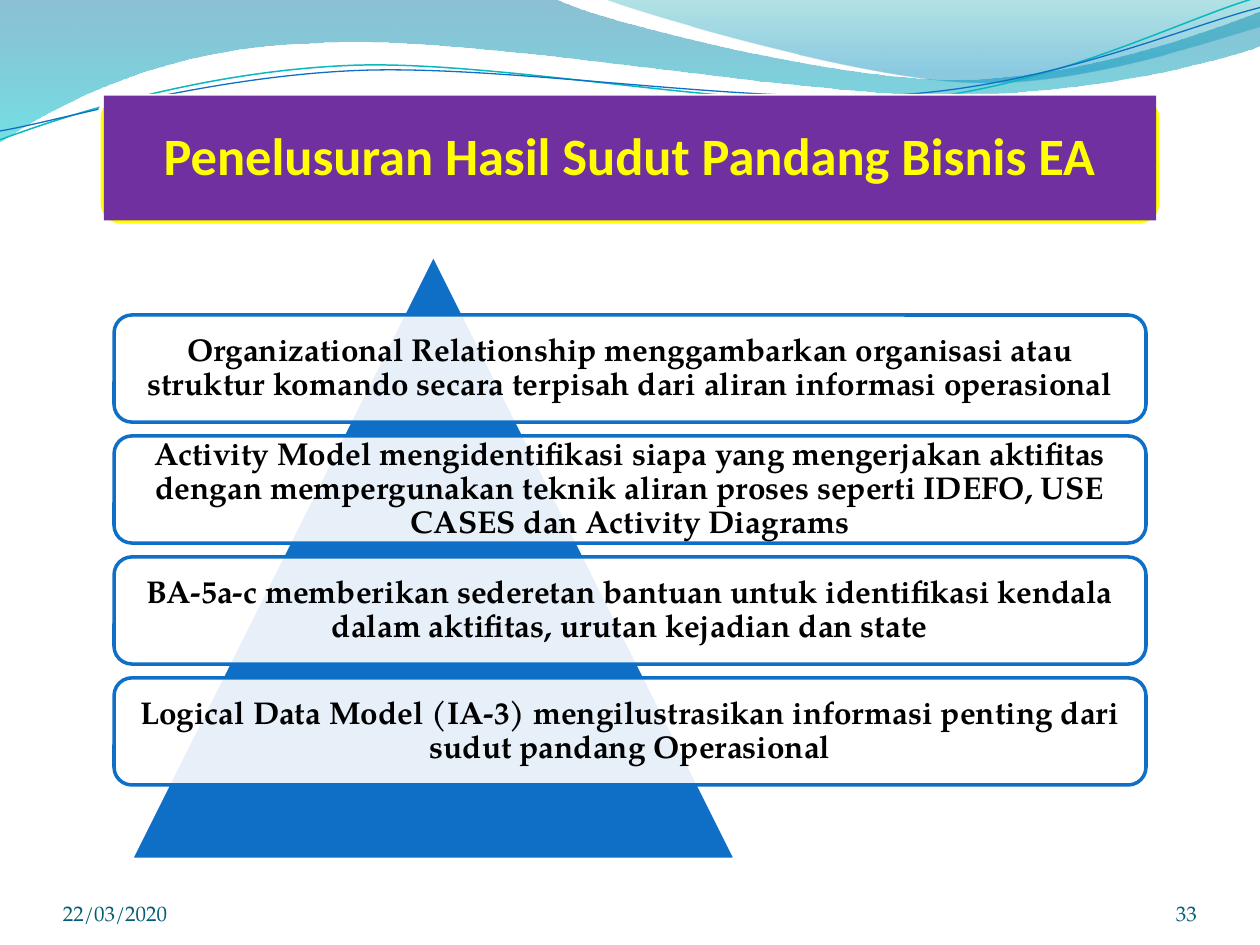
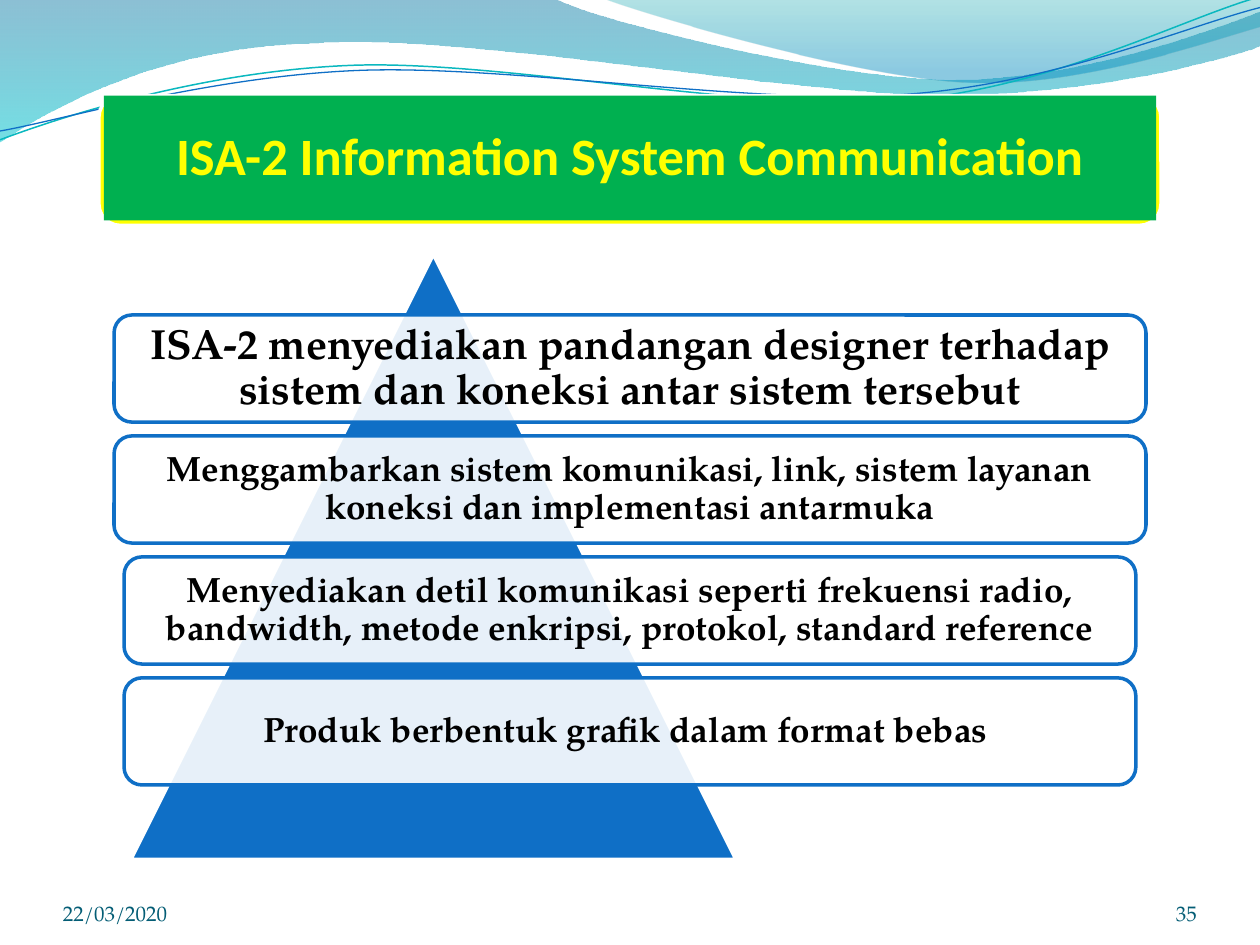
from pptx import Presentation, util as u
from pptx.dml.color import RGBColor
from pptx.enum import shapes, text
from pptx.oxml.ns import qn
from lxml import etree

# Content: number, title, band colour, and (words, size, inset, box width)
DATE = "22/03/2020"
WIDE, NARROW = 8.19, 8.03
SLIDES = [
    {"number": "33", "title": "Penelusuran Hasil Sudut Pandang Bisnis EA", "band": "7030A0",
     "boxes": [
         ("Organizational Relationship menggambarkan organisasi atau struktur komando "
          "secara terpisah dari aliran informasi operasional", 18, 0.07, WIDE),
         ("Activity Model mengidentifikasi siapa yang mengerjakan aktifitas dengan "
          "mempergunakan teknik aliran proses seperti IDEFO, USE CASES dan Activity Diagrams",
          18, 0.07, WIDE),
         ("BA-5a-c memberikan sederetan bantuan untuk identifikasi kendala dalam aktifitas, "
          "urutan kejadian dan state", 18, 0.07, WIDE),
         ("Logical Data Model (IA-3) mengilustrasikan informasi penting dari sudut pandang "
          "Operasional", 18, 0.07, WIDE)]},
    {"number": "35", "title": "ISA-2 Information System Communication", "band": "00B050",
     "boxes": [
         ("ISA-2 menyediakan pandangan designer terhadap sistem dan koneksi antar sistem "
          "tersebut", 24, 0.1, WIDE),
         ("Menggambarkan sistem komunikasi, link, sistem layanan koneksi dan implementasi "
          "antarmuka", 20, 0.08, WIDE),
         ("Menyediakan detil komunikasi seperti frekuensi radio, bandwidth, metode enkripsi, "
          "protokol, standard reference", 20, 0.08, NARROW),
         ("Produk berbentuk grafik dalam format bebas ", 20, 0.08, NARROW)]},
]

# Shared look
BLUE, YELLOW, WHITE, BLACK, FOOTER = "0F6FC6", "FFFF00", "FFFFFF", "000000", "045D75"
SERIF, SANS = "TeX Gyre Pagella", "Calibri"
SLIDE_WIDTH, SLIDE_HEIGHT = 10, 7.5
FIRST_BOX, BOX_STEP, BOX_HEIGHT = 2.5, 0.96, 0.85

# Waves: a start, then points (2 numbers) and curves (6 numbers), in inches
WAVES = [
    {"start": (0, 0), "steps": [
        (4.4, -0.01), (4.76, 0.17, 6.64, 0.63, 7.58, 0.63), (8.53, 0.63, 9.58, 0.26, 10, 0.09),
        (10.01, 0.36), (9.83, 0.44, 8.7, 0.76, 7.46, 0.75), (6.22, 0.75, 3.82, 0.28, 2.57, 0.34),
        (1.29, 0.36, 0.46, 0.83, -0.01, 1.13)],
     "gradient": [(0, "0074A1", 45), (1, "00C6CF", 55)]},
    {"start": (4.79, -0.01), "steps": [
        (5.09, 0.11, 6.82, 0.62, 7.69, 0.65), (8.56, 0.69, 9.61, 0.32, 10, 0.21), (10, 0)],
     "gradient": [(0, "00A1A9", 30), (0.8, "008BBF", 45)]},
    {"start": (0, 1.11), "steps": [
        (0.48, 0.93, 1.58, 0.57, 2.77, 0.52), (3.95, 0.47, 5.93, 0.89, 7.13, 0.8),
        (8.33, 0.71, 9.38, 0.15, 9.98, -0.02)],
     "line": ("0AB8BF", 0.85)},
    {"start": (0, 1.04), "steps": [
        (0.47, 0.96, 1.64, 0.61, 2.83, 0.56), (4.03, 0.51, 5.97, 0.84, 7.17, 0.75),
        (8.36, 0.67, 9.41, 0.21, 10, 0.06)],
     "line": (BLUE, 0.75)},
]


def color(code):
    return RGBColor.from_string(code)


def centered(top, width, height):
    return (SLIDE_WIDTH - width) / 2, top, width, height


def set_opacity(shape, percents):
    """Give the fill colours of a shape, in order, their opacity."""
    for element, percent in zip(shape._element.spPr.iter(qn("a:srgbClr")), percents):
        etree.SubElement(element, qn("a:alpha")).set("val", str(percent * 1000))


def set_line(shape, line):
    if line:
        shape.line.color.rgb, shape.line.width = color(line[0]), u.Pt(line[1])
    else:
        shape.line.fill.background()


def style(shape, fill, line=None):
    shape.shadow.inherit = False
    shape.fill.solid()
    shape.fill.fore_color.rgb = color(fill)
    set_line(shape, line)


def add_preset(slide, kind, place, fill, line=None):
    shape = slide.shapes.add_shape(kind, *map(u.Inches, place))
    style(shape, fill, line)
    return shape


def write(shape, words, size, ink, font=SERIF, bold=True, inset=0.0,
          align=text.PP_ALIGN.CENTER, anchor=text.MSO_ANCHOR.MIDDLE, spacing=0.9):
    frame = shape.text_frame
    frame.text = words
    frame_format = {"word_wrap": True, "auto_size": text.MSO_AUTO_SIZE.NONE,
                    "vertical_anchor": anchor}
    frame_format.update({f"margin_{side}": u.Inches(inset)
                         for side in ("left", "top", "right", "bottom")})
    paragraph = frame.paragraphs[0]
    paragraph.font.color.rgb = color(ink)
    formats = [(frame, frame_format),
               (paragraph, {"alignment": align, "line_spacing": spacing}),
               (paragraph.font, {"name": font, "size": u.Pt(size), "bold": bold})]
    for target, values in formats:
        for name, value in values.items():
            setattr(target, name, value)


def bend(shape, steps):
    """Join the three segments of each six-number step into one cubic curve."""
    segments = iter(list(shape._element.spPr.iter(qn("a:lnTo"))))
    for step in steps:
        first = next(segments)
        if len(step) == 6:
            first.tag = qn("a:cubicBezTo")
            for _ in range(2):
                segment = next(segments)
                first.append(segment[0])
                segment.getparent().remove(segment)


def add_wave(slide, wave):
    points = [(u.Inches(x), u.Inches(y)) for step in [wave["start"], *wave["steps"]]
              for x, y in zip(step[::2], step[1::2])]
    builder = slide.shapes.build_freeform(*points[0])
    builder.add_line_segments(points[1:], close="gradient" in wave)
    shape = builder.convert_to_shape()
    bend(shape, wave["steps"])
    shape.shadow.inherit = False
    if "gradient" in wave:
        shape.fill.gradient()
        shape.fill.gradient_angle = 270
        for stop, (position, code, _) in zip(shape.fill.gradient_stops, wave["gradient"]):
            stop.position, stop.color.rgb = position, color(code)
        set_opacity(shape, [percent for _, _, percent in wave["gradient"]])
    else:
        shape.fill.background()
    set_line(shape, wave.get("line"))
    return shape


def move_to_master(presentation, wave_shapes):
    """Put the waves behind everything on the slide master."""
    tree = presentation.slide_master.shapes._spTree
    for index, shape in enumerate(wave_shapes):
        shape._element.nvSpPr.cNvPr.set("id", str(100 + index))
        tree.insert(2 + index, shape._element)


def add_title(slide, words, fill):
    add_preset(slide, shapes.MSO_SHAPE.ROUNDED_RECTANGLE, centered(0.76, 8.43, 1.03),
               YELLOW, (WHITE, 2))
    title = slide.shapes.title
    title.left, title.top, title.width, title.height = map(u.Inches, centered(0.76, 8.35, 0.99))
    style(title, fill)
    write(title, words, 30, YELLOW, SANS, inset=0.12)
    slide.shapes._spTree.append(title._element)  # in front of its yellow edge


def add_footers(slide, number):
    for words, left, width, align in ((DATE, 0.5, 2.33, text.PP_ALIGN.LEFT),
                                      (number, 8.67, 0.83, text.PP_ALIGN.RIGHT)):
        box = slide.shapes.add_textbox(*map(u.Inches, (left, 6.95, width, 0.4)))
        write(box, words, 12, FOOTER, bold=False, align=align,
              anchor=text.MSO_ANCHOR.BOTTOM, spacing=1.0)


def add_pyramid(slide, boxes):
    add_preset(slide, shapes.MSO_SHAPE.ISOSCELES_TRIANGLE, (1.04, 2.02, 4.8, 4.8),
               BLUE, (WHITE, 2))
    for row, (words, size, inset, width) in enumerate(boxes):
        place = centered(FIRST_BOX + row * BOX_STEP, width, BOX_HEIGHT)
        box = add_preset(slide, shapes.MSO_SHAPE.ROUNDED_RECTANGLE, place, WHITE, (BLUE, 2))
        set_opacity(box, [90])
        write(box, words, size, BLACK, inset=inset)


def main():
    presentation = Presentation()
    presentation.slide_width = u.Inches(SLIDE_WIDTH)
    presentation.slide_height = u.Inches(SLIDE_HEIGHT)
    title_only = presentation.slide_layouts[5]
    for index, content in enumerate(SLIDES):
        slide = presentation.slides.add_slide(title_only)
        if index == 0:
            move_to_master(presentation, [add_wave(slide, wave) for wave in WAVES])
        add_footers(slide, content["number"])
        add_title(slide, content["title"], content["band"])
        add_pyramid(slide, content["boxes"])
    presentation.save("out.pptx")


if __name__ == "__main__":
    main()
